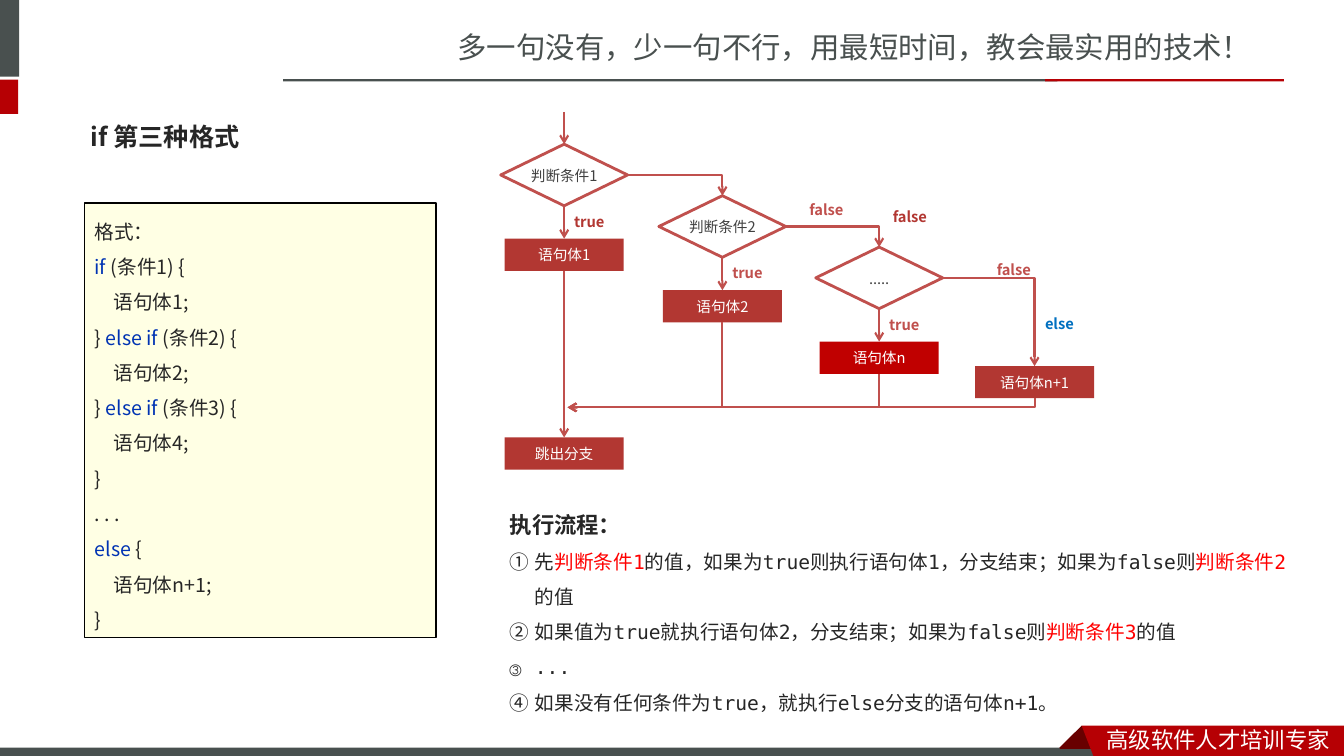
"""Build a slide that explains the third form of the if statement."""
from pptx import Presentation
from pptx.dml.color import RGBColor
from pptx.enum import shapes as kinds, text
from pptx.oxml.ns import qn
from pptx.util import Pt

CJK, CHINESE, MONO = "Noto Sans CJK JP", "Noto Sans CJK SC", "DejaVu Sans Mono"
WHITE = RGBColor(0xFF, 0xFF, 0xFF)
BLACK = RGBColor(0, 0, 0)
INK = RGBColor(0x26, 0x26, 0x26)
GRAY = RGBColor(0x40, 0x40, 0x40)
SLATE = RGBColor(0x49, 0x50, 0x4F)
CRIMSON = RGBColor(0xB6, 0x00, 0x04)
MAROON = RGBColor(0x68, 0x00, 0x00)
BRICK = RGBColor(0xB2, 0x37, 0x32)
ROSE = RGBColor(0xC0, 0x50, 0x4D)
RED = RGBColor(0xFF, 0, 0)
DARK_RED = RGBColor(0xC0, 0, 0)
CREAM = RGBColor(0xFF, 0xFF, 0xE4)
KEYWORD = RGBColor(0, 0x33, 0xB3)
BLUE = RGBColor(0, 0x70, 0xC0)

RECT = kinds.MSO_SHAPE.RECTANGLE
DIAMOND = kinds.MSO_SHAPE.FLOWCHART_DECISION
LEFT, CENTER = text.PP_ALIGN.LEFT, text.PP_ALIGN.CENTER
TOP, MIDDLE = text.MSO_ANCHOR.TOP, text.MSO_ANCHOR.MIDDLE
DIAMOND_W, DIAMOND_H = 90.7, 44
BOX_W, BOX_H = 85, 23
BOX_DROP = 67.5
MERGE_X, MERGE_Y = 405.4, 291

BARS = [(0, 0, 13.7, 54.7, SLATE), (0, 56.9, 13, 24.5, CRIMSON),
        (202.3, 56.5, 553, 1.7, SLATE), (746.6, 56.5, 170.6, 1.7, CRIMSON),
        (0, 534, 791, 6, SLATE)]
RIBBONS = [(MAROON, [(772.6, 518.4), (788.4, 534.2), (787.7, 535), (757.4, 535),
                     (756.7, 534.2)]),
           (CRIMSON, [(772.6, 518.4), (960, 518.4), (960, 540), (781, 540)])]
BRANCHES = [(403, 103, "判断条件1", "语句体1", BRICK, BRICK),
            (516, 139.8, "判断条件2", "语句体2", BRICK, ROSE),
            (628, 176.5, ".....", "语句体n", DARK_RED, ROSE)]
ELSE_X, ELSE_Y = 739, 261.5
BRANCH_LABELS = [(571, 139.7, "false", ROSE), (630.7, 144.7, "false", BRICK),
                 (704.9, 182.9, "false", ROSE), (739.4, 221, "else", BLUE)]
CODE = [(0, [("格式：", INK)]),
        (0, [("if", KEYWORD), (" (条件1) {", INK)]),
        (1, [("语句体1;", INK)]),
        (0, [("} ", INK), ("else if ", KEYWORD), ("(条件2) {", INK)]),
        (1, [("语句体2;", INK)]),
        (0, [("} ", INK), ("else if ", KEYWORD), ("(条件3) {", INK)]),
        (1, [("语句体4;", INK)]),
        (0, [("}", INK)]),
        (0, [(". . .", INK)]),
        (0, [("else ", KEYWORD), ("{", INK)]),
        (1, [("语句体n+1;", INK)]),
        (0, [("}", INK)])]
STEPS = [[("先", INK), ("判断条件1", RED),
          ("的值，如果为true则执行语句体1，分支结束；如果为false则", INK),
          ("判断条件2", RED), ("的值", INK)],
         [("如果值为true就执行语句体2，分支结束；如果为false则", INK),
          ("判断条件3", RED), ("的值", INK)],
         [("...", INK)],
         [("如果没有任何条件为true，就执行else分支的语句体n+1。", INK)]]


def set_font(paragraph, size, color, name=CJK, bold=False):
    font = paragraph.font
    font.size, font.bold, font.name = Pt(size), bold, name
    font.color.rgb = color
    east_asian = font._rPr.makeelement(qn("a:ea"), {"typeface": CHINESE if name == MONO else name})
    font._rPr.find(qn("a:latin")).addnext(east_asian)


def add_runs(paragraph, runs):
    for words, color in runs:
        run = paragraph.add_run()
        run.text = words
        run.font.color.rgb = color


def set_indent(paragraph, margin, first=0):
    properties = paragraph._p.get_or_add_pPr()
    properties.set("marL", str(Pt(margin)))
    properties.set("indent", str(Pt(first)))
    return properties


def paint(shape, fill=None, line=None, width=1):
    shape.shadow.inherit = False
    if fill is None:
        shape.fill.background()
    else:
        shape.fill.solid()
        shape.fill.fore_color.rgb = fill
    if line is None:
        shape.line.fill.background()
    else:
        shape.line.color.rgb, shape.line.width = line, Pt(width)
    return shape


def add_block(slide, kind, x, y, w, h, fill=None, line=None, width=1):
    block = slide.shapes.add_shape(kind, Pt(x), Pt(y), Pt(w), Pt(h))
    return paint(block, fill, line, width)


def add_ribbon(slide, color, points):
    start, *rest = [(Pt(x), Pt(y)) for x, y in points]
    builder = slide.shapes.build_freeform(*start)
    builder.add_line_segments(rest, close=True)
    paint(builder.convert_to_shape(), color)


def add_label(slide, x, y, w, h, words, size, color, name=CJK, bold=False,
              align=LEFT, anchor=MIDDLE):
    frame = slide.shapes.add_textbox(Pt(x), Pt(y), Pt(w), Pt(h)).text_frame
    frame.word_wrap, frame.vertical_anchor = True, anchor
    label = frame.paragraphs[0]
    label.text, label.alignment = words, align
    set_font(label, size, color, name, bold)
    return label


def add_statement(slide, center, y, words, fill):
    frame = add_block(slide, RECT, center - BOX_W / 2, y, BOX_W, BOX_H, fill).text_frame
    frame.vertical_anchor = MIDDLE
    statement = frame.paragraphs[0]
    statement.text, statement.alignment = words, CENTER
    set_font(statement, 10.5, WHITE)


def add_arrow(slide, x1, y1, x2, y2, bent=False, end="a:tailEnd"):
    kind = kinds.MSO_CONNECTOR.ELBOW if bent else kinds.MSO_CONNECTOR.STRAIGHT
    arrow = slide.shapes.add_connector(kind, Pt(x1), Pt(y1), Pt(x2), Pt(y2))
    arrow.line.color.rgb, arrow.line.width = ROSE, Pt(1.5)
    properties = arrow._element.spPr
    if bent:
        properties.find(qn("a:prstGeom")).set("prst", "bentConnector2")
    line = arrow.line._get_or_add_ln()
    line.append(line.makeelement(qn(end), {"type": "arrow"}))
    properties.append(properties.makeelement(qn("a:effectLst"), {}))


def add_branch(slide, center, y, condition, statement, fill, label_color):
    add_block(slide, DIAMOND, center - DIAMOND_W / 2, y, DIAMOND_W, DIAMOND_H, line=ROSE, width=2)
    label = add_label(slide, center - 31.5, y + 13, 63, 20, condition, 10.5, GRAY,
                      align=CENTER, anchor=TOP)
    label.line_spacing = Pt(12.2)
    add_statement(slide, center, y + BOX_DROP, statement, fill)
    add_arrow(slide, center, y + DIAMOND_H, center, y + BOX_DROP)
    add_label(slide, center, y + 45.3, 47.5, 20, "true", 10.5, label_color, bold=True)


def add_flowchart(slide):
    for branch in BRANCHES:
        add_branch(slide, *branch)
    add_statement(slide, ELSE_X, ELSE_Y, "语句体n+1", BRICK)
    first_x, first_y = BRANCHES[0][:2]
    add_statement(slide, first_x, 312.5, "跳出分支", BRICK)
    add_arrow(slide, first_x, 80, first_x, first_y)
    add_arrow(slide, first_x, first_y + BOX_DROP + BOX_H, first_x, 312.5)
    nodes = [branch[:2] for branch in BRANCHES] + [(ELSE_X, ELSE_Y)]
    for (x, y), (next_x, next_y) in zip(nodes, nodes[1:]):
        add_arrow(slide, x + DIAMOND_W / 2, y + DIAMOND_H / 2, next_x, next_y, bent=True)
    bottoms = [(x, y + BOX_DROP + BOX_H) for x, y in nodes[1:-1]] + [(ELSE_X, ELSE_Y + BOX_H)]
    for x, bottom in bottoms:
        add_arrow(slide, MERGE_X, MERGE_Y, x, bottom, bent=True, end="a:headEnd")
    for x, y, words, color in BRANCH_LABELS:
        add_label(slide, x, y, 70.5, 20, words, 10.5, color, bold=True)


def add_code(slide):
    frame = add_block(slide, RECT, 60.5, 145, 251, 310.3, CREAM, BLACK).text_frame
    frame.word_wrap, frame.vertical_anchor = True, TOP
    for number, (level, runs) in enumerate(CODE):
        line = frame.add_paragraph() if number else frame.paragraphs[0]
        line.alignment, line.line_spacing = LEFT, Pt(25.2)
        set_font(line, 14, INK)
        set_indent(line, 13.5 * level)
        add_runs(line, runs)


def add_steps(slide):
    heading = add_label(slide, 357, 350.6, 580, 137, "执行流程：", 16, INK, bold=True, anchor=TOP)
    heading.line_spacing = Pt(30)
    for runs in STEPS:
        step = heading._parent.add_paragraph()
        step.line_spacing = Pt(25.2)
        set_font(step, 14, INK, MONO)
        properties = set_indent(step, 18, -18)
        number = properties.makeelement(qn("a:buAutoNum"), {"type": "circleNumDbPlain"})
        properties.find(qn("a:defRPr")).addprevious(number)
        add_runs(step, runs)


def add_title(slide):
    title = slide.shapes.title
    title.left, title.top, title.width, title.height = Pt(57.6), Pt(77), Pt(170), Pt(41)
    title.text_frame.vertical_anchor = MIDDLE
    heading = title.text_frame.paragraphs[0]
    heading.text, heading.alignment = "if 第三种格式", LEFT
    set_font(heading, 18, INK, bold=True)


def main():
    deck = Presentation()
    deck.slide_width, deck.slide_height = Pt(960), Pt(540)
    slide = deck.slides.add_slide(deck.slide_layouts[5])
    for x, y, w, h, color in BARS:
        add_block(slide, RECT, x, y, w, h, color)
    for color, points in RIBBONS:
        add_ribbon(slide, color, points)
    add_label(slide, 319.7, 17.3, 600, 32.4, "多一句没有，少一句不行，用最短时间，教会最实用的技术！",
              21, SLATE, CHINESE)
    add_label(slide, 783.4, 514.8, 176.6, 26.6, "高级软件人才培训专家", 16, WHITE, CHINESE)
    add_title(slide)
    add_code(slide)
    add_flowchart(slide)
    add_steps(slide)
    deck.save("out.pptx")


if __name__ == "__main__":
    main()
